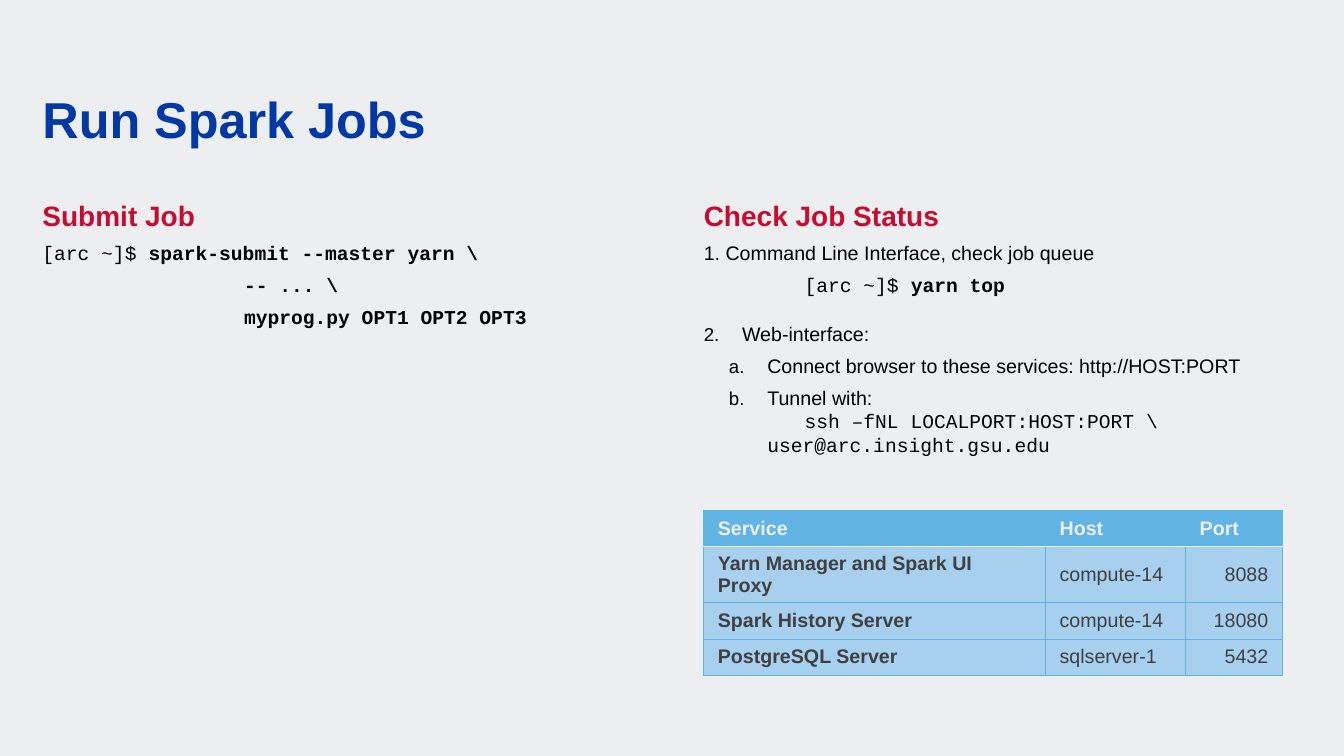
"""Build the slide on running and checking Spark jobs."""
from lxml import etree
from pptx import Presentation
from pptx import util as u
from pptx.dml.color import RGBColor
from pptx.enum import text
from pptx.oxml.ns import qn

PAPER = RGBColor(0xED, 0xEE, 0xEF)
BLUE = RGBColor(0x00, 0x39, 0xA6)
RED = RGBColor(0xC6, 0x0C, 0x30)
BLACK = RGBColor(0, 0, 0)
SKY = RGBColor(0x61, 0xB4, 0xE4)
PALE = RGBColor(0xA7, 0xCF, 0xEE)
GREY = RGBColor(0x40, 0x40, 0x41)

WIDTH, HEIGHT = 13.33, 7.5
MARGIN, COLUMN, GUTTER = 0.42, 5.94, 0.62

HEADING = {"size": u.Pt(20), "name": "Arial", "bold": True, "color": RED}
PLAIN = {"size": u.Pt(14), "name": "Arial", "bold": False, "color": BLACK}
CODE = {**PLAIN, "name": "Courier New"}
COMMAND = {**CODE, "bold": True}
TITLE = {**HEADING, "size": u.Pt(36), "color": BLUE}
HEADER = {**PLAIN, "bold": True, "color": PAPER}
VALUE = {**PLAIN, "color": GREY}
SERVICE = {**VALUE, "bold": True}

SUBMIT = [
    {"spans": [("Submit Job", HEADING)]},
    {"spans": [("[arc ~]$ ", CODE), ("spark-submit --master yarn \\", COMMAND)]},
    {"spans": [("\t\t-- ... \\", COMMAND)]},
    {"spans": [("\t\tmyprog.py OPT1 OPT2 OPT3", COMMAND)]},
]
STATUS = [
    {"spans": [("Check Job Status", HEADING)]},
    {"spans": [("1. Command Line Interface, check job queue", PLAIN)]},
    {"spans": [("\t[arc ~]$ ", CODE), ("yarn top", COMMAND)]},
    {"spans": [("Web-interface:", PLAIN)], "before": 18, "indent": 0.38,
     "number": {"type": "arabicPeriod", "startAt": "2"}},
    {"spans": [("Connect browser to these services: http://HOST:PORT", PLAIN)],
     "level": 1, "indent": 0.63, "number": {"type": "alphaLcPeriod"}},
    {"spans": [("Tunnel with:\v\t", PLAIN),
               ("ssh –fNL LOCALPORT:HOST:PORT \\\vuser@arc.insight.gsu.edu", CODE)],
     "level": 1, "indent": 0.63, "number": {"type": "alphaLcPeriod"}},
]
SERVICES = [
    ("Service", "Host", "Port"),
    ("Yarn Manager and Spark UI Proxy", "compute-14", "8088"),
    ("Spark History Server", "compute-14", "18080"),
    ("PostgreSQL Server", "sqlserver-1", "5432"),
]


class SlideBuilder:
    """Hold the deck, the current page and its style."""

    def __init__(self):
        """Open a deck with one two-column page."""
        self.deck = Presentation()
        self.deck.slide_width, self.deck.slide_height = u.Inches(WIDTH), u.Inches(HEIGHT)
        self.page = self.deck.slides.add_slide(self.deck.slide_layouts[3])
        self.page.background.fill.solid()
        self.page.background.fill.fore_color.rgb = PAPER

    def area(self, column, span, top, height):
        """Return a place from grid columns and shares of the slide height."""
        left = MARGIN + column * (COLUMN + GUTTER)
        width = span * COLUMN + (span - 1) * GUTTER
        return {"left": u.Inches(left), "top": u.Inches(top * HEIGHT),
                "width": u.Inches(width), "height": u.Inches(height * HEIGHT)}

    def apply(self, target, values):
        """Set each named attribute on the target."""
        for name, value in values.items():
            setattr(target, name, value)

    def add_span(self, para, content, style):
        """Add one styled span to a paragraph."""
        for index, line in enumerate(content.split("\v")):
            if index:
                para.add_line_break()
            span = para.add_run()
            span.text = line
            self.apply(span.font, {k: v for k, v in style.items() if k != "color"})
            span.font.color.rgb = style["color"]

    def frame(self, box, place, anchor):
        """Move a placeholder and clear its insets."""
        self.apply(box, place)
        self.apply(box.text_frame, {
            "margin_left": 0, "margin_right": 0, "margin_top": 0, "margin_bottom": 0,
            "word_wrap": True, "auto_size": text.MSO_AUTO_SIZE.NONE,
            "vertical_anchor": anchor})
        return box.text_frame

    def title(self, content, place):
        """Fill the title placeholder."""
        para = self.frame(self.page.shapes.title, place, text.MSO_ANCHOR.BOTTOM).paragraphs[0]
        self.apply(para, {"alignment": text.PP_ALIGN.LEFT, "line_spacing": 0.9})
        self.add_span(para, content, TITLE)

    def body(self, index, items, place):
        """Fill a body placeholder with paragraphs."""
        frame = self.frame(self.page.placeholders[index], place, text.MSO_ANCHOR.TOP)
        for order, item in enumerate(items):
            para = frame.add_paragraph() if order else frame.paragraphs[0]
            self.number(para, item)
            self.apply(para, {"level": item.get("level", 0),
                              "space_before": u.Pt(item.get("before", 6) if order else 0)})
            for content, style in item["spans"]:
                self.add_span(para, content, style)

    def number(self, para, item):
        """Set the indent, tab width and numbering of a paragraph."""
        props = para._p.get_or_add_pPr()
        numbered = "number" in item
        props.set("marL", str(u.Inches(item.get("indent", 0))))
        props.set("indent", str(u.Inches(-0.38 if numbered else 0)))
        props.set("defTabSz", str(u.Inches(1)))
        if numbered:
            etree.SubElement(props, qn("a:buSzPct"), val="95000")
            etree.SubElement(props, qn("a:buFont"), typeface="Arial")
            etree.SubElement(props, qn("a:buAutoNum"), item["number"])
        else:
            etree.SubElement(props, qn("a:buNone"))

    def border(self, cell, side, color, width):
        """Draw one side of a cell."""
        line = etree.SubElement(cell._tc.get_or_add_tcPr(), qn("a:ln" + side),
                                w=str(u.Pt(width)))
        fill = etree.SubElement(line, qn("a:solidFill"))
        etree.SubElement(fill, qn("a:srgbClr"), val=str(color))

    def table(self, rows, widths, place):
        """Add a table with a header row and right-aligned last column."""
        grid = self.page.shapes.add_table(len(rows), len(widths), *place.values()).table
        self.apply(grid, {"horz_banding": False})
        for column, width in zip(grid.columns, widths):
            column.width = u.Inches(width)
        for r, row in enumerate(rows):
            for c, content in enumerate(row):
                self.cell(grid.cell(r, c), content, r, c, c == len(row) - 1)

    def cell(self, cell, content, row, column, last):
        """Format and fill one table cell."""
        edges = {"L": (SKY, 0.5), "R": (SKY, 0.5),
                 "T": (PAPER, 1) if row == 1 else (SKY, 0.5),
                 "B": (PAPER, 1) if row == 0 else (SKY, 0.5)}
        for side, (color, width) in edges.items():
            self.border(cell, side, color, width)
        self.apply(cell, {
            "margin_left": u.Inches(0.14), "margin_right": u.Inches(0.14),
            "margin_top": u.Inches(0.06), "margin_bottom": u.Inches(0.06),
            "vertical_anchor": text.MSO_ANCHOR.MIDDLE})
        cell.fill.solid()
        cell.fill.fore_color.rgb = PALE if row else SKY
        para = cell.text_frame.paragraphs[0]
        para.alignment = text.PP_ALIGN.RIGHT if row and last else text.PP_ALIGN.LEFT
        self.add_span(para, content, HEADER if not row else VALUE if column else SERVICE)


def main():
    """Compose and save the slide."""
    slide = SlideBuilder()
    slide.title("Run Spark Jobs", slide.area(0, 2, 0.125, 0.073))
    for column, items in enumerate((SUBMIT, STATUS)):
        slide.body(column + 1, items, slide.area(column, 1, 0.263, 0.604))
    slide.table(SERVICES, (3.39, 1.39, 0.96), slide.area(1, 1, 0.675, 0.192))
    slide.deck.save("out.pptx")


if __name__ == "__main__":
    main()
